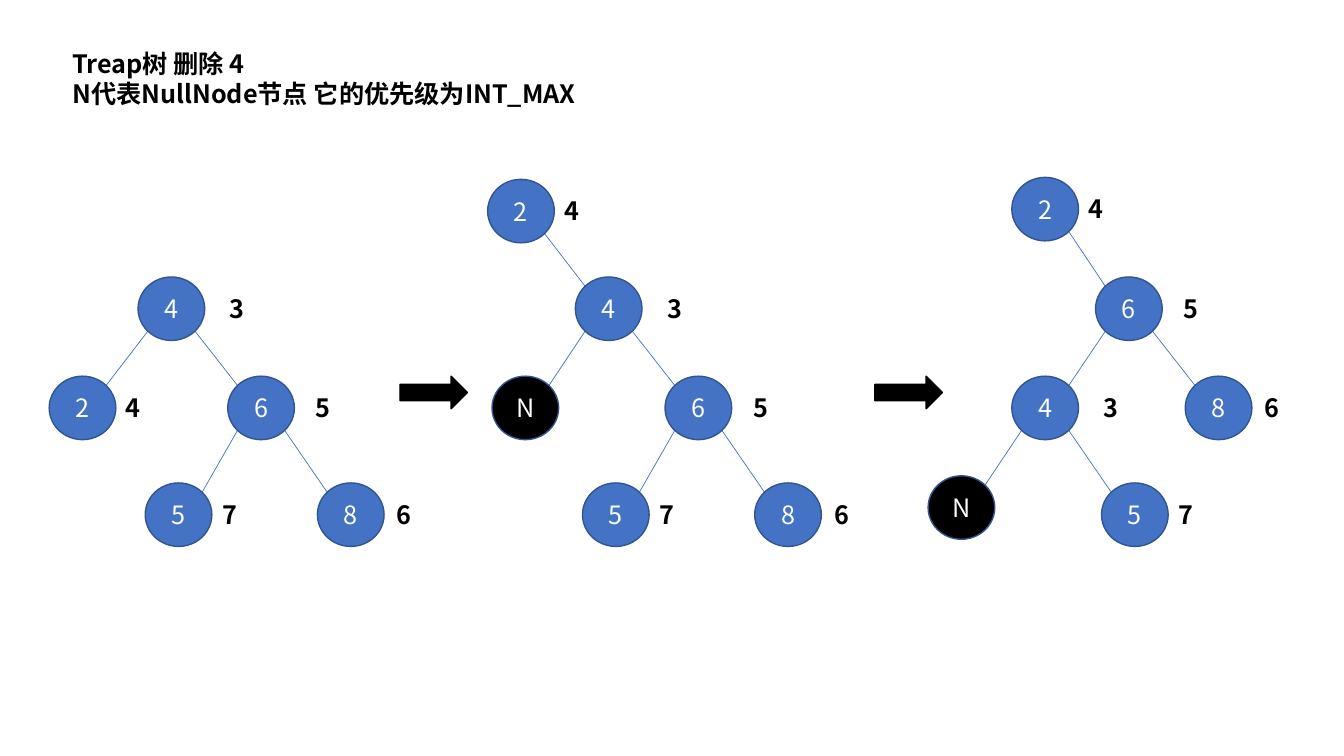
from lxml import etree
from pptx import Presentation
from pptx.dml.color import RGBColor
from pptx.enum.shapes import MSO_CONNECTOR, MSO_SHAPE
from pptx.enum.text import MSO_ANCHOR, MSO_AUTO_SIZE, PP_ALIGN
from pptx.oxml.ns import qn
from pptx.util import Cm, Pt

OVAL, ARROW = MSO_SHAPE.OVAL, MSO_SHAPE.RIGHT_ARROW
LINE = MSO_CONNECTOR.STRAIGHT
CENTER, LEFT = PP_ALIGN.CENTER, PP_ALIGN.LEFT
MIDDLE = MSO_ANCHOR.MIDDLE
GROW = MSO_AUTO_SIZE.SHAPE_TO_FIT_TEXT

# All lengths are in centimetres.
TITLE = ["Treap树 删除 4", "N代表NullNode节点 它的优先级为INT_MAX"]

# key: (priority, offset of its label from the node, label width)
RANKS = {
    "2": ("4", 1.68, 1.04),
    "4": ("3", 2.06, 0.86),
    "5": ("7", 1.7, 1.04),
    "6": ("5", 1.97, 0.86),
    "8": ("6", 1.75, 1.04),
}

# Each tree: key -> (left, top), and its edges as parent + child
TREES = [
    ({"4": (3.48, 6.98), "2": (1.24, 9.48), "6": (5.74, 9.48),
      "5": (3.66, 12.17), "8": (8.0, 12.17)},
     ["42", "46", "65", "68"]),
    ({"2": (12.29, 4.52), "4": (14.5, 6.98), "N": (12.4, 9.48),
      "6": (16.76, 9.48), "5": (14.68, 12.17), "8": (19.02, 12.17)},
     ["24", "4N", "46", "65", "68"]),
    ({"2": (25.5, 4.47), "6": (27.61, 6.98), "4": (25.5, 9.48),
      "8": (29.87, 9.48), "N": (23.39, 11.99), "5": (27.76, 12.17)},
     ["26", "64", "68", "4N", "45"]),
]
STEPS = [10.08, 22.05]  # left edges of the arrows between trees
STEP_TOP = 9.48

NODE_W, NODE_H = 1.68, 1.6
RIM = 0.5 ** 0.5 / 2  # share of the node size from centre to diagonal rim
LABEL_DROP, LABEL_H = 0.29, 1.02

THEME = {
    "font": "Noto Sans CJK SC",
    "size": Pt(18),
    "pitch": Pt(21.5),
    "node": RGBColor(0x44, 0x72, 0xC4),
    "rim": RGBColor(0x32, 0x54, 0x91),
    "dark": RGBColor(0, 0, 0),
    "light": RGBColor(255, 255, 255),
}


def write(frame, lines, color, bold=False, align=LEFT):
    for i, line in enumerate(lines):
        para = frame.paragraphs[0] if i == 0 else frame.add_paragraph()
        run = para.add_run()
        run.text = line
        para.alignment = align
        para.line_spacing = THEME["pitch"]
        font = para.font
        font.name, font.size, font.bold = THEME["font"], THEME["size"], bold
        font.color.rgb = color
        east = etree.SubElement(run.font._element, qn("a:ea"))
        east.set("typeface", THEME["font"])


def add_text(shapes, box, lines, wrap):
    frame = shapes.add_textbox(*map(Cm, box)).text_frame
    frame.word_wrap = wrap
    frame.auto_size = GROW
    write(frame, lines, THEME["dark"], bold=True)


def add_solid(shapes, kind, box, fill, edge):
    shape = shapes.add_shape(kind, *map(Cm, box))
    shape.shadow.inherit = False
    shape.fill.solid()
    shape.fill.fore_color.rgb = fill
    shape.line.color.rgb = edge
    shape.line.width = Pt(1)
    return shape


def add_node(shapes, key, left, top):
    """Draw a node and, unless it is the null node, its priority."""
    fill = THEME["node"] if key in RANKS else THEME["dark"]
    node = add_solid(shapes, OVAL, (left, top, NODE_W, NODE_H),
                     fill, THEME["rim"])
    node.text_frame.vertical_anchor = MIDDLE
    write(node.text_frame, [key], THEME["light"], align=CENTER)
    if key in RANKS:
        rank, shift, width = RANKS[key]
        box = (left + shift, top + LABEL_DROP, width, LABEL_H)
        add_text(shapes, box, [rank], wrap=False)


def add_edge(shapes, parent, child):
    """Join the diagonal rim points of two nodes that face each other."""
    side = 1 if child[0] > parent[0] else -1

    def rim(node, right, down):
        return (Cm(node[0] + NODE_W * (0.5 + right * RIM)),
                Cm(node[1] + NODE_H * (0.5 + down * RIM)))

    edge = shapes.add_connector(LINE, *rim(parent, side, 1),
                                *rim(child, -side, -1))
    edge.line.color.rgb = THEME["node"]
    edge.line.width = Pt(0.5)
    etree.SubElement(edge._element.spPr, qn("a:effectLst"))


def main():
    deck = Presentation()
    deck.slide_width, deck.slide_height = Cm(33.87), Cm(19.05)
    shapes = deck.slides.add_slide(deck.slide_layouts[6]).shapes

    add_text(shapes, (1.57, 1.09, 13.44, 1.8), TITLE, wrap=True)
    for nodes, edges in TREES:
        for parent, child in edges:
            add_edge(shapes, nodes[parent], nodes[child])
        for key, (left, top) in nodes.items():
            add_node(shapes, key, left, top)
    for left in STEPS:
        add_solid(shapes, ARROW, (left, STEP_TOP, 1.7, 0.82),
                  THEME["dark"], THEME["dark"])
    deck.save("out.pptx")


if __name__ == "__main__":
    main()
